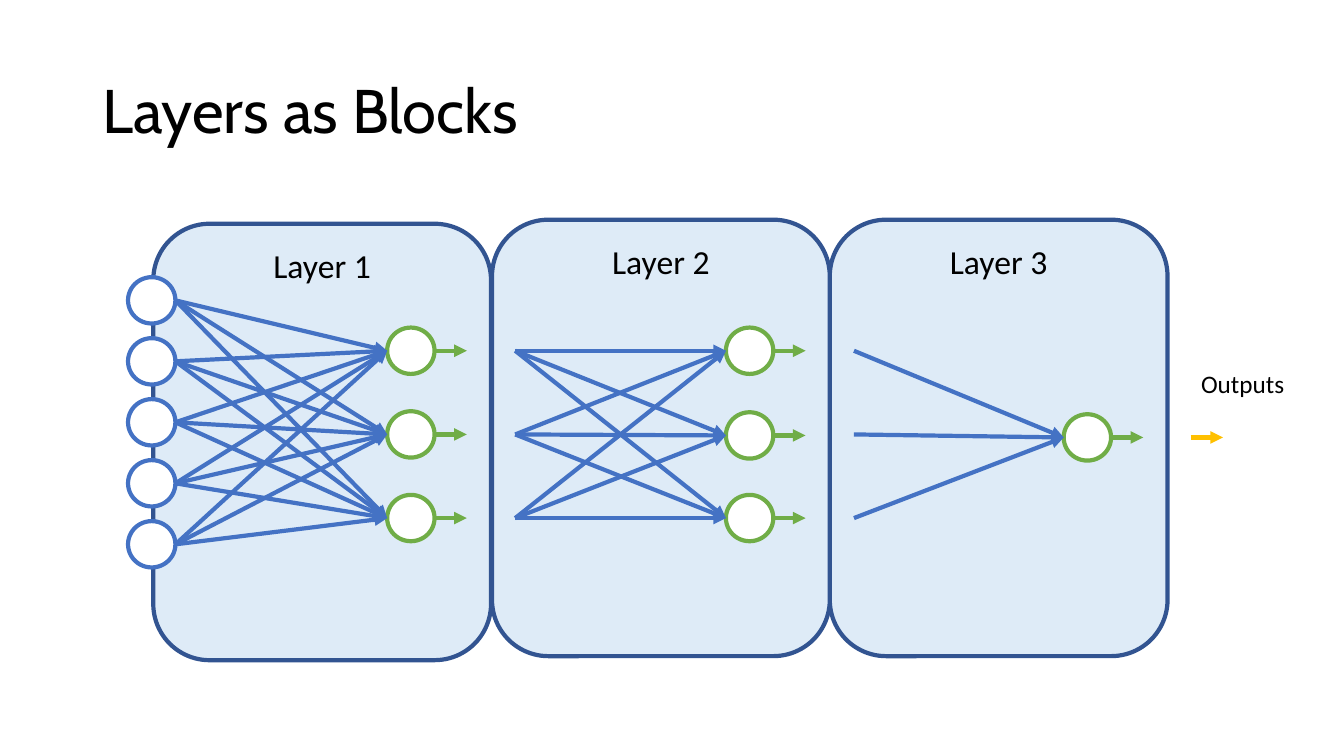
from lxml import etree
from pptx import Presentation
from pptx.dml.color import RGBColor
from pptx.enum import shapes, text
from pptx.oxml import ns
from pptx.util import Inches, Pt

BLACK = RGBColor(0x00, 0x00, 0x00)
WHITE = RGBColor(0xFF, 0xFF, 0xFF)
PALE_BLUE = RGBColor(0xDE, 0xEB, 0xF7)
DARK_BLUE = RGBColor(0x32, 0x54, 0x91)
BLUE = RGBColor(0x44, 0x72, 0xC4)
GREEN = RGBColor(0x70, 0xAD, 0x47)
AMBER = RGBColor(0xFF, 0xC0, 0x00)

NODE_W, NODE_H = 0.47, 0.46
BLOCK_W, BLOCK_H = 3.35, 4.33
ARROW_LENGTH = 0.32

prs = Presentation()
prs.slide_width, prs.slide_height = Inches(13.33), Inches(7.5)
slide = prs.slides.add_slide(prs.slide_layouts[6])


def add_outlined(kind, left, top, width, height, fill, outline):
    shape = slide.shapes.add_shape(
        kind, Inches(left), Inches(top), Inches(width), Inches(height))
    shape.shadow.inherit = False
    shape.fill.solid()
    shape.fill.fore_color.rgb = fill
    shape.line.color.rgb = outline
    shape.line.width = Pt(3)
    return shape


def add_arrow(x1, y1, x2, y2, color):
    arrow = slide.shapes.add_connector(
        shapes.MSO_CONNECTOR.STRAIGHT, Inches(x1), Inches(y1), Inches(x2), Inches(y2))
    arrow.line.color.rgb = color
    arrow.line.width = Pt(3)
    etree.SubElement(arrow.line._get_or_add_ln(), ns.qn("a:tailEnd"), type="triangle")
    etree.SubElement(arrow._element.spPr, ns.qn("a:effectLst"))


# Layer blocks, the first one in front
for label, left, top in (("Layer 3", 8.23, 2.18), ("Layer 2", 4.88, 2.18), ("Layer 1", 1.52, 2.22)):
    block = add_outlined(shapes.MSO_SHAPE.ROUNDED_RECTANGLE,
                         left, top, BLOCK_W, BLOCK_H, PALE_BLUE, DARK_BLUE)
    block.text_frame.vertical_anchor = text.MSO_ANCHOR.TOP
    heading = block.text_frame.paragraphs[0]
    heading.alignment = text.PP_ALIGN.CENTER
    run = heading.add_run()
    run.text = label
    run.font.size, run.font.name = Pt(24), "Calibri"
    run.font.color.rgb = BLACK

# Title and output caption
for words, box, size, font, align, anchor, wrap, spacing in (
        ("Layers as Blocks", (0.92, 0.4, 11.5, 1.45), 44, "Cabin",
         text.PP_ALIGN.LEFT, text.MSO_ANCHOR.MIDDLE, True, 0.9),
        ("Outputs", (11.81, 3.61, 1.03, 0.4), 18, "Calibri",
         text.PP_ALIGN.CENTER, text.MSO_ANCHOR.TOP, False, 1.0)):
    frame = slide.shapes.add_textbox(*[Inches(length) for length in box]).text_frame
    frame.word_wrap = wrap
    frame.vertical_anchor = anchor
    paragraph = frame.paragraphs[0]
    paragraph.alignment = align
    paragraph.line_spacing = spacing
    run = paragraph.add_run()
    run.text = words
    run.font.size, run.font.name = Pt(size), font
    run.font.color.rgb = BLACK

# Input nodes on the left edge of the first block
input_ys = [2.98 + 0.605 * i for i in range(5)]
hidden_ys = [3.48 + 0.83 * i for i in range(3)]
for y in input_ys:
    add_outlined(shapes.MSO_SHAPE.OVAL, 1.27, y - NODE_H / 2, NODE_W, NODE_H, WHITE, BLUE)

# Each layer: its nodes, their output arrows and all incoming connections
for source_x, source_ys, node_x, node_ys in (
        (1.74, input_ys, 3.84, hidden_ys),
        (5.11, hidden_ys, 7.2, [3.48, 4.32, 5.14]),
        (8.47, hidden_ys, 10.55, [4.34])):
    for node_y in node_ys:
        add_outlined(shapes.MSO_SHAPE.OVAL, node_x, node_y - NODE_H / 2,
                     NODE_W, NODE_H, WHITE, GREEN)
        output_x = node_x + NODE_W
        add_arrow(output_x, node_y, output_x + ARROW_LENGTH, node_y, GREEN)
        for source_y in source_ys:
            add_arrow(source_x, source_y, node_x, node_y, BLUE)

# Final output
add_arrow(11.81, 4.34, 11.81 + ARROW_LENGTH, 4.34, AMBER)

prs.save("out.pptx")
